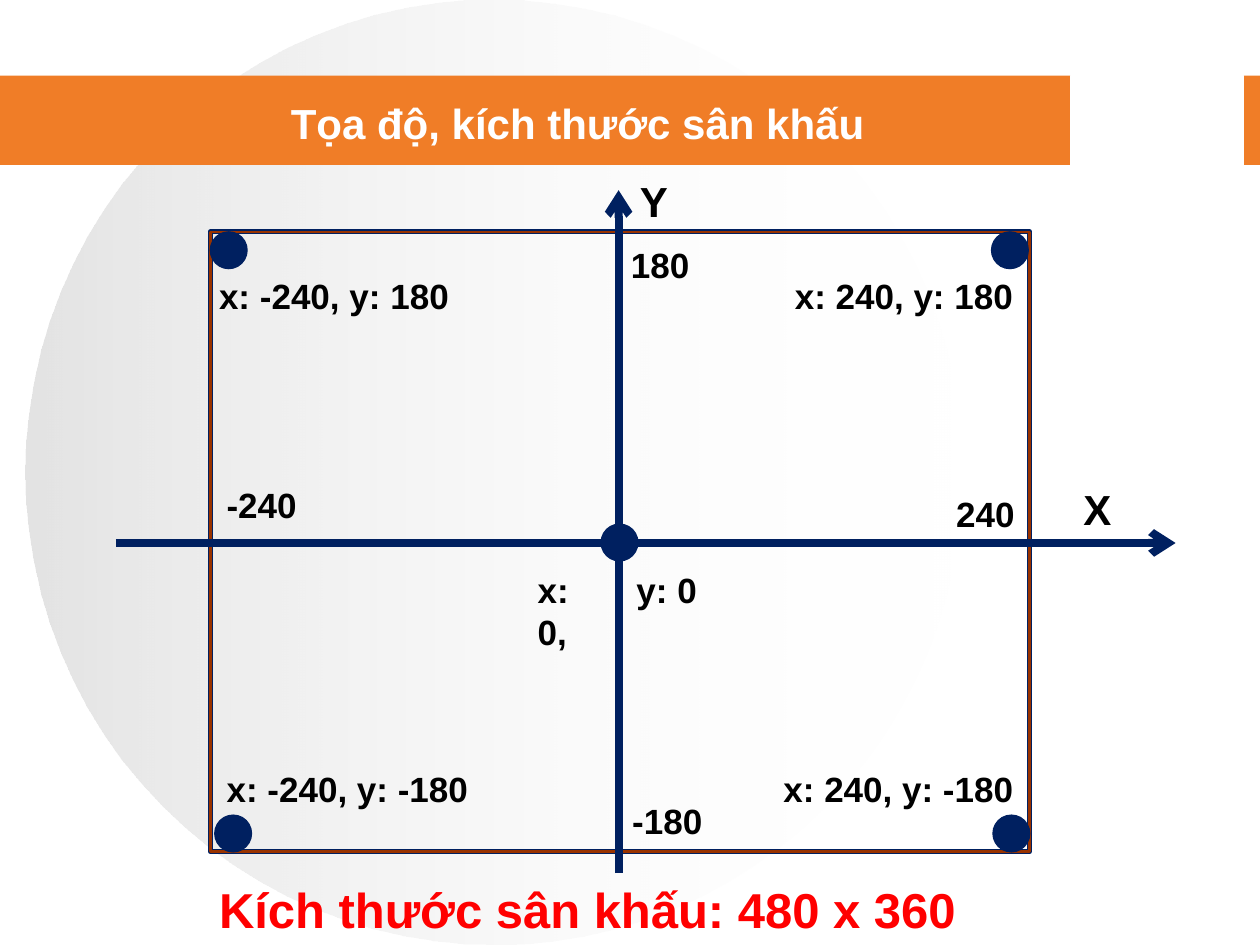
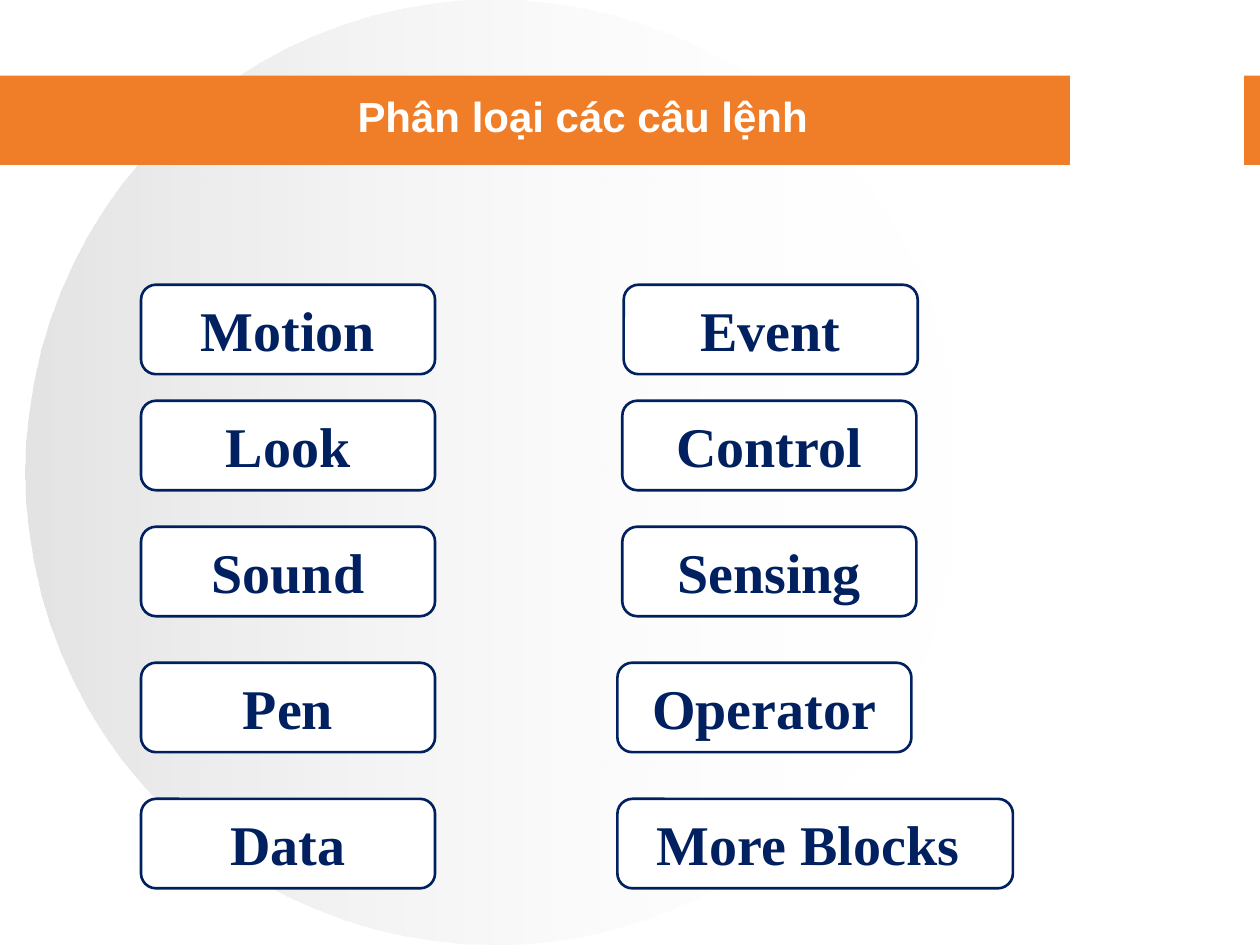
from lxml import etree
from pptx import Presentation
from pptx import util as u
from pptx.dml.color import RGBColor
from pptx.enum import shapes as kinds, text as txt
from pptx.oxml import ns

NAVY = RGBColor(0x00, 0x20, 0x60)
BROWN = RGBColor(0x99, 0x33, 0x00)
ORANGE = RGBColor(0xF0, 0x7D, 0x27)
SILVER = RGBColor(0xC0, 0xC0, 0xC0)
WHITE = RGBColor(0xFF, 0xFF, 0xFF)
BLACK = RGBColor(0x00, 0x00, 0x00)
RED = RGBColor(0xFF, 0x00, 0x00)

RECT = kinds.MSO_SHAPE.RECTANGLE
OVAL = kinds.MSO_SHAPE.OVAL
ROUNDED = kinds.MSO_SHAPE.ROUNDED_RECTANGLE
LEFT, CENTER = txt.PP_ALIGN.LEFT, txt.PP_ALIGN.CENTER
TOP, MIDDLE = txt.MSO_ANCHOR.TOP, txt.MSO_ANCHOR.MIDDLE

TITLE = {"size": u.Pt(24), "name": "Arial", "bold": True}
COORDINATE = {"size": u.Pt(20), "name": "Arial", "bold": True}
AXIS_NAME = {"size": u.Pt(24), "name": "Arial", "bold": True}
STAGE_SIZE = {"size": u.Pt(28), "name": "Arial", "bold": True}
CATEGORY = {"size": u.Pt(32), "name": "Times New Roman", "bold": True}

STAGE = (120.24, 132.48, 468, 354.24)
DOT = 21
ORIGIN_X, ORIGIN_Y = 353.5, 310.3


def points(*lengths):
    return [u.Pt(length) for length in lengths]


def xml_child(parent, tag, **attributes):
    return etree.SubElement(parent, ns.qn(tag), attributes)


def draw(slide, kind, place, fill=None, line=None, weight=0.75):
    outline = slide.shapes.add_shape(kind, *points(*place))
    outline.shadow.inherit = False
    if fill is None:
        outline.fill.background()
    else:
        outline.fill.solid()
        outline.fill.fore_color.rgb = fill
    if line is None:
        outline.line.fill.background()
    else:
        outline.line.color.rgb = line
        outline.line.width = u.Pt(weight)
    return outline


def write(holder, wording, style, color, align=LEFT, anchor=TOP, wrap=True):
    frame = holder.text_frame
    frame.word_wrap = wrap
    frame.vertical_anchor = anchor
    paragraph = frame.paragraphs[0]
    paragraph.alignment = align
    run = paragraph.add_run()
    run.text = wording
    for attribute, value in style.items():
        setattr(run.font, attribute, value)
    run.font.color.rgb = color


def label(slide, wording, place, style=COORDINATE, color=BLACK, **layout):
    write(slide.shapes.add_textbox(*points(*place)), wording, style, color, **layout)


def axis(slide, start, end):
    arrow = slide.shapes.add_connector(
        kinds.MSO_CONNECTOR.STRAIGHT, *points(*start, *end))
    arrow.line.color.rgb = NAVY
    arrow.line.width = u.Pt(4.5)
    xml_child(arrow.line._get_or_add_ln(), "a:tailEnd", type="arrow")
    xml_child(arrow._element.spPr, "a:effectLst")


def backdrop(slide):
    disc = draw(slide, OVAL, (14.4, 0, 535.68, 540))
    disc.fill.gradient()
    disc.fill.gradient_angle = 0
    for stop, color, opacity in zip(disc.fill.gradient_stops,
                                    (SILVER, WHITE), ("44000", "0")):
        stop.color.rgb = color
    for tint, opacity in zip(disc._element.spPr.iter(ns.qn("a:srgbClr")), ("44000", "0")):
        xml_child(tint, "a:alpha", val=opacity)
    draw(slide, RECT, (0, 43.2, 720, 51.12), ORANGE)
    draw(slide, RECT, (612, 43.2, 98.64, 51.12), WHITE, WHITE)


def title(slide, wording, place):
    label(slide, wording, place, TITLE, WHITE, align=CENTER, anchor=MIDDLE)


def stage_slide(slide):
    backdrop(slide)
    title(slide, "Tọa độ, kích thước sân khấu", (33.12, 40.32, 594, 59.76))
    for color, weight in ((NAVY, 3), (BROWN, 1.5)):
        draw(slide, RECT, STAGE, line=color, weight=weight)
    for left, top in ((343.5, 299.5), (566.6, 132.5), (120.2, 132.5),
                      (122.7, 465.8), (567.4, 465.8)):
        draw(slide, OVAL, (left, top, DOT, DOT), NAVY, NAVY)

    for wording, left, top, width in (
            ("x: -240, y: 180", 118.1, 153.4, 146.9),
            ("x: 240, y: 180", 447.1, 153.4, 139.7),
            ("x: 240, y: -180", 440.6, 434.9, 146.9),
            ("x: -240, y: -180", 122.4, 434.9, 153.4),
            ("x: 0,", 300.2, 321.1, 54),
            ("y: 0", 356.6, 321.1, 49),
            ("-240", 122.4, 272.9, 54.7),
            ("240", 539.3, 277.9, 48.2),
            ("180", 353.5, 135.4, 48.2),
            ("-180", 354.2, 453.6, 54.7)):
        label(slide, wording, (left, top, width, 31.7), wrap=False)
    label(slide, "Kích thước sân khấu: 480 x 360",
          (118.1, 499, 469.4, 41), STAGE_SIZE, RED)

    axis(slide, (66.2, ORIGIN_Y), (671.8, ORIGIN_Y))
    axis(slide, (ORIGIN_X, 499), (ORIGIN_X, 108.7))
    for wording, left, top in (("X", 612, 272.9), ("Y", 358.6, 96.5)):
        label(slide, wording, (left, top, 31, 36), AXIS_NAME, wrap=False)


def category_slide(slide):
    backdrop(slide)
    tops = (162.7, 229, 301, 378.7, 456.5)
    first_column = ("Motion", "Look", "Sound", "Pen", "Data")
    second_column = (("Event", 356.4, 168), ("Control", 355.6, 168),
                     ("Sensing", 355.6, 168), ("Operator", 352.8, 168),
                     ("More Blocks ", 352.8, 226))
    column = [(name, 80.6, 168) for name in first_column]
    for entries in (column, second_column):
        for top, (name, left, width) in zip(tops, entries):
            block = draw(slide, ROUNDED, (left, top, width, 51.1), WHITE, NAVY, 1.5)
            write(block, name, CATEGORY, NAVY, CENTER, MIDDLE)
    title(slide, "Phân loại các câu lệnh", (36, 30.24, 594, 72))


def main():
    deck = Presentation()
    deck.slide_width, deck.slide_height = points(720, 540)
    for build in (stage_slide, category_slide):
        build(deck.slides.add_slide(deck.slide_layouts[6]))
    deck.save("out.pptx")


if __name__ == "__main__":
    main()
